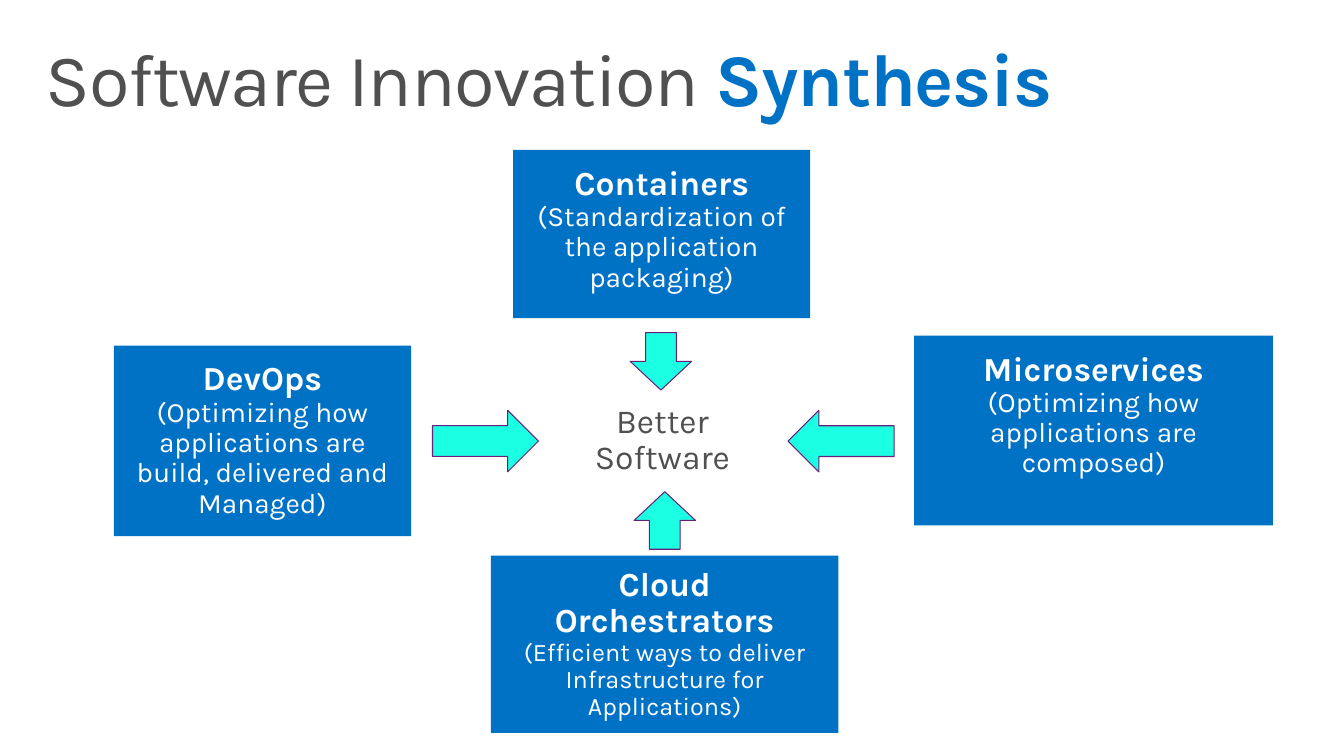
from pptx import Presentation
from pptx.dml.color import RGBColor
from pptx.enum.shapes import MSO_SHAPE as Kind
from pptx.enum.text import MSO_ANCHOR as Anchor, MSO_AUTO_SIZE as Fit, PP_ALIGN as Align
from pptx.util import Cm, Pt

BLUE, GRAY, WHITE, AQUA, PLUM = "0072C6", "505050", "FFFFFF", "1BFFE3", "68217A"


def paint(target, color):
    """Set a solid colour on a fill or a font."""
    if hasattr(target, "solid"):
        target.solid()
        target.fore_color.rgb = RGBColor.from_string(color)
    else:
        target.color.rgb = RGBColor.from_string(color)


def write(frame, lines, side, edge, anchor=Anchor.TOP, align=Align.CENTER):
    """Fill a frame with paragraphs, each a list of (text, size, bold, colour)."""
    form = {"margin_left": Cm(side), "margin_right": Cm(side),
            "margin_top": Cm(edge), "margin_bottom": Cm(edge),
            "word_wrap": True, "auto_size": Fit.NONE, "vertical_anchor": anchor}
    for key, value in form.items():
        setattr(frame, key, value)
    for i, line in enumerate(lines):
        para = frame.add_paragraph() if i else frame.paragraphs[0]
        para.alignment, para.line_spacing = align, 0.9
        for text, size, bold, color in line:
            run = para.add_run()
            run.text = text
            for key, value in {"name": "Karla", "size": Pt(size), "bold": bold}.items():
                setattr(run.font, key, value)
            paint(run.font, color)


deck = Presentation()
deck.slide_width, deck.slide_height = Cm(33.87), Cm(19.05)
slide = deck.slides.add_slide(deck.slide_layouts[5])
shapes = slide.shapes

title = shapes.title
place = {"left": 0.74, "top": 0.81, "width": 32.39, "height": 2.49}
for key, value in place.items():
    setattr(title, key, Cm(value))
write(title.text_frame,
      [[("Software Innovation ", 52.9, False, GRAY), ("Synthesis", 52.9, True, BLUE)]],
      0.41, 0.25, align=Align.LEFT)
for run in title.text_frame.paragraphs[0].runs:
    run._r.get_or_add_rPr().set("spc", "-100")

# Practices: heading, detail, detail size, anchor, left, top, width, height
cards = [
    ("DevOps", "(Optimizing how applications are build, delivered and Managed)",
     20, Anchor.TOP, 2.87, 8.71, 7.49, 4.8),
    ("Containers", "(Standardization of the application packaging)",
     20, Anchor.TOP, 12.93, 3.78, 7.49, 4.24),
    ("Microservices", "(Optimizing how applications are composed)",
     20, Anchor.TOP, 23.04, 8.46, 9.04, 4.78),
    ("Cloud Orchestrators", "(Efficient ways to deliver Infrastructure for Applications)",
     18, Anchor.MIDDLE, 12.37, 14, 8.76, 4.47),
]
for head, detail, size, anchor, *spot in cards:
    card = shapes.add_shape(Kind.RECTANGLE, *map(Cm, spot))
    card.shadow.inherit = False
    paint(card.fill, BLUE)
    card.line.fill.background()
    write(card.text_frame, [[(head, 24, True, WHITE)], [(detail, size, False, WHITE)]],
          0.51, 0.41, anchor)

goal = shapes.add_textbox(Cm(13.89), Cm(9.78), Cm(5.61), Cm(2.67))
write(goal.text_frame, [[("Better Software", 24, False, GRAY)]], 0.51, 0.41)
goal.text_frame.auto_size = Fit.SHAPE_TO_FIT_TEXT
goal.text_frame.paragraphs[0].space_after = Pt(6)

# Arrows towards the goal: left, top, width, rotation
arrows = [(10.9, 10.34, 2.67, 0), (19.86, 10.34, 2.67, 180),
          (16.03, 12.34, 1.45, 270), (15.93, 8.33, 1.45, 90)]
for left, top, width, turn in arrows:
    arrow = shapes.add_shape(Kind.RIGHT_ARROW, Cm(left), Cm(top), Cm(width), Cm(1.55))
    arrow.rotation = turn
    arrow.shadow.inherit = False
    paint(arrow.fill, AQUA)
    paint(arrow.line.fill, PLUM)
    arrow.line.width = Pt(0.75)

deck.save("out.pptx")
